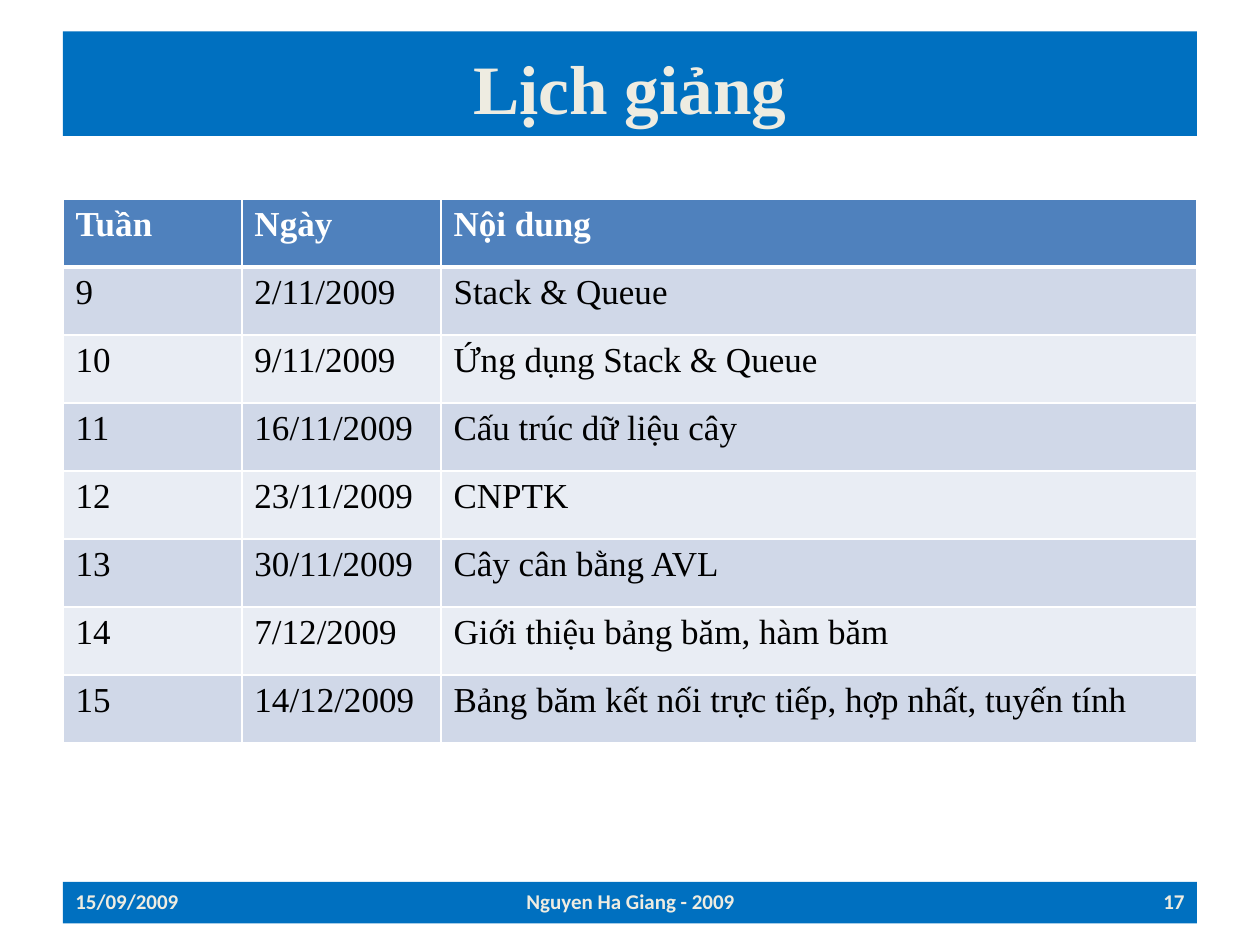
from lxml import etree
from pptx import Presentation, util as u
from pptx.dml.color import RGBColor
from pptx.enum import shapes, text
from pptx.oxml import ns

# Content
TITLE = "Lịch giảng"
SCHEDULE = [
    ("Tuần", "Ngày", "Nội dung"),
    ("9", "2/11/2009", "Stack & Queue"),
    ("10", "9/11/2009", "Ứng dụng Stack & Queue"),
    ("11", "16/11/2009", "Cấu trúc dữ liệu cây"),
    ("12", "23/11/2009", "CNPTK"),
    ("13", "30/11/2009", "Cây cân bằng AVL"),
    ("14", "7/12/2009", "Giới thiệu bảng băm, hàm băm"),
    ("15", "14/12/2009", "Bảng băm kết nối trực tiếp, hợp nhất, tuyến tính"),
]
ALIGN = text.PP_ALIGN
FOOTER = [  # wording, left, width, alignment
    ("15/09/2009", 0.5, 2.33, ALIGN.LEFT),
    ("Nguyen Ha Giang - 2009", 3.42, 3.17, ALIGN.CENTER),
    ("17", 7.17, 2.33, ALIGN.RIGHT),
]

# Style and grid, in inches
BLUE = RGBColor(0x00, 0x70, 0xC0)
CREAM = RGBColor(0xEE, 0xEC, 0xE1)
WHITE = RGBColor(0xFF, 0xFF, 0xFF)
BLACK = RGBColor(0x00, 0x00, 0x00)
HEADER = RGBColor(0x4F, 0x81, 0xBD)
BANDS = RGBColor(0xE9, 0xED, 0xF4), RGBColor(0xD0, 0xD8, 0xE8)
SERIF, SANS = "Times New Roman", "Calibri"
MARGIN, WIDTH = 0.5, 9
BARS = [(7, 0.33), (0.25, 0.83)]  # top, height
COLUMNS = [1.42, 1.58, 6]
TABLE_TOP, ROW_HEIGHT = 1.58, 0.54


def style(frame, font, size, color, bold, align=ALIGN.LEFT):
    para = frame.paragraphs[0]
    para.alignment = align
    for span in para.runs:
        span.font.name, span.font.size = font, u.Pt(size)
        span.font.color.rgb, span.font.bold = color, bold


def add_border(cell, side, points):
    line = etree.SubElement(cell._tc.get_or_add_tcPr(), ns.qn(f"a:ln{side}"),
                            w=str(u.Pt(points)))
    fill = etree.SubElement(line, ns.qn("a:solidFill"))
    etree.SubElement(fill, ns.qn("a:srgbClr"), val=str(WHITE))


def add_bars(page):
    for top, height in BARS:
        bar = page.shapes.add_shape(shapes.MSO_SHAPE.RECTANGLE, u.Inches(MARGIN),
                                    u.Inches(top), u.Inches(WIDTH), u.Inches(height))
        bar.shadow.inherit = False
        bar.fill.solid()
        bar.fill.fore_color.rgb = BLUE
        bar.line.fill.background()


def add_title(page):
    title = page.shapes.title
    title.left, title.top = u.Inches(MARGIN), u.Inches(0.3)
    title.width, title.height = u.Inches(WIDTH), u.Inches(0.78)
    title.text_frame.text = TITLE
    title.text_frame.vertical_anchor = text.MSO_ANCHOR.MIDDLE
    style(title.text_frame, SERIF, 39.6, CREAM, True, ALIGN.CENTER)
    title.element.getparent().append(title.element)  # in front of the bars


def add_schedule(page):
    table = page.shapes.add_table(
        len(SCHEDULE), len(COLUMNS), u.Inches(MARGIN), u.Inches(TABLE_TOP),
        u.Inches(WIDTH), u.Inches(ROW_HEIGHT * len(SCHEDULE))).table
    for column, width in zip(table.columns, COLUMNS):
        column.width = u.Inches(width)
    for r, values in enumerate(SCHEDULE):
        table.rows[r].height = u.Inches(ROW_HEIGHT)
        is_header = r == 0
        for c, value in enumerate(values):
            cell = table.cell(r, c)
            cell.text_frame.text = value
            style(cell.text_frame, SERIF, 20, WHITE if is_header else BLACK, is_header)
            widths = {"L": 1, "R": 1, "T": 3 if r == 1 else 1, "B": 3 if is_header else 1}
            for side, points in widths.items():
                add_border(cell, side, points)
            cell.fill.solid()
            cell.fill.fore_color.rgb = HEADER if is_header else BANDS[r % 2]


def add_footer(page):
    for wording, left, width, align in FOOTER:
        box = page.shapes.add_textbox(u.Inches(left), u.Inches(6.95),
                                      u.Inches(width), u.Inches(0.4))
        frame = box.text_frame
        frame.word_wrap = True
        frame.vertical_anchor = text.MSO_ANCHOR.MIDDLE
        frame.text = wording
        style(frame, SANS, 12, CREAM, True, align)


def main():
    deck = Presentation()
    deck.slide_width, deck.slide_height = u.Inches(10), u.Inches(7.5)
    page = deck.slides.add_slide(deck.slide_layouts.get_by_name("Title Only"))
    add_bars(page)
    add_title(page)
    add_schedule(page)
    add_footer(page)
    deck.save("out.pptx")


if __name__ == "__main__":
    main()
